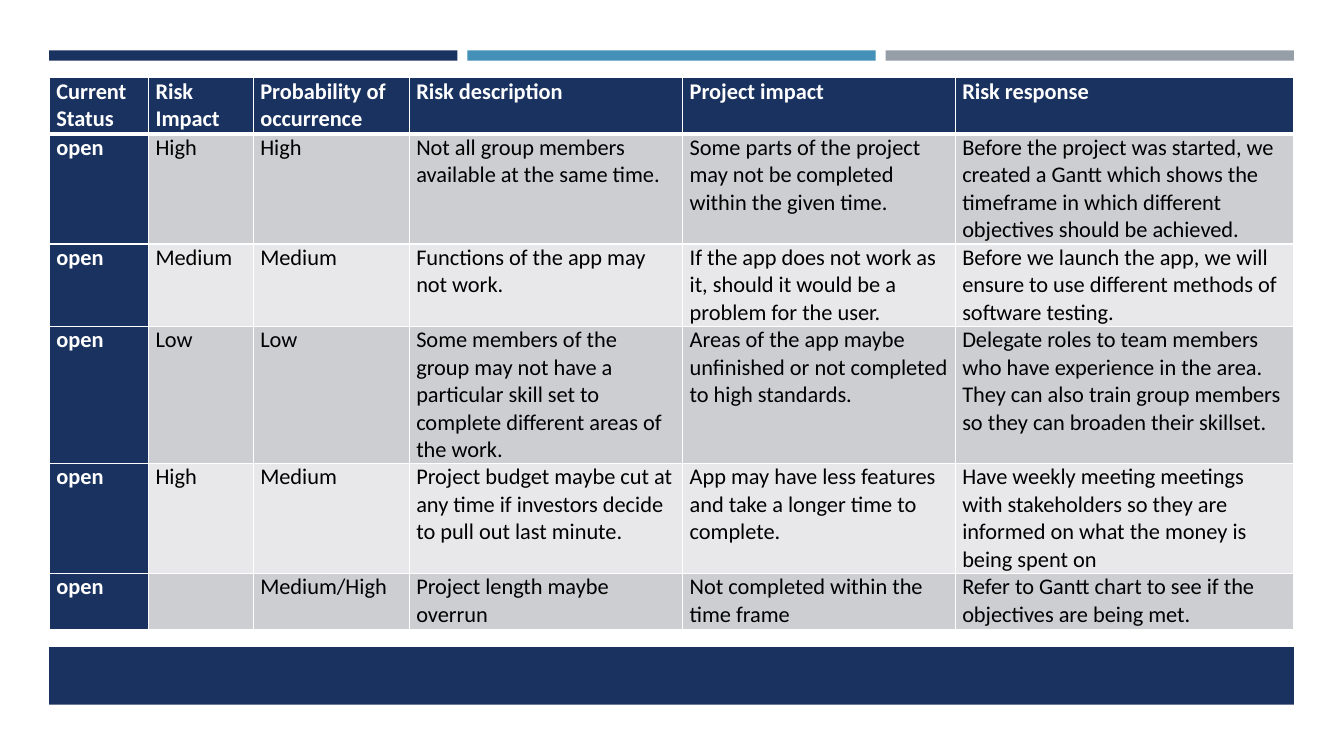
from lxml.etree import SubElement
from pptx import Presentation
from pptx.dml.color import RGBColor
from pptx.enum.shapes import MSO_SHAPE as Preset
from pptx.oxml.ns import qn
from pptx.util import Cm, Pt

NAVY, BLUE, GREY = "1A3260", "4590B8", "969FA7"
WHITE, BLACK = "FFFFFF", "000000"
BANDS = ["CDCED2", "E8E8EA"]

LEFT, WIDTH = 1.24, 31.37
COLUMN_WIDTHS = [2.5, 2.64, 3.93, 6.89, 6.87, 8.54]
ROW_HEIGHTS = [1.42, 2.77, 2.08, 3.43, 2.77, 1.42]

RISKS = [
    ["Current Status", "Risk Impact", "Probability of occurrence",
     "Risk description", "Project impact", "Risk response"],
    ["open", "High", "High",
     "Not all group members available at the same time.",
     "Some parts of the project may not be completed within the given time.",
     "Before the project was started, we created a Gantt which shows the "
     "timeframe in which different objectives should be achieved."],
    ["open", "Medium", "Medium",
     "Functions of the app may not work.",
     "If the app does not work as it, should it would be a problem for the user.",
     "Before we launch the app, we will ensure to use different methods of "
     "software testing."],
    ["open", "Low", "Low",
     "Some members of the group may not have a particular skill set to complete "
     "different areas of the work.",
     "Areas of the app maybe unfinished or not completed to high standards.",
     "Delegate roles to team members who have experience in the area. They can "
     "also train group members so they can broaden their skillset."],
    ["open", "High", "Medium",
     "Project budget maybe cut at any time if investors decide to pull out "
     "last minute.",
     "App may have less features and take a longer time to complete.",
     "Have weekly meeting meetings with stakeholders so they are informed on "
     "what the money is being spent on"],
    ["open", "", "Medium/High",
     "Project length maybe overrun",
     "Not completed within the time frame",
     "Refer to Gantt chart to see if the objectives are being met."],
]


def color(value):
    return RGBColor.from_string(value)


def paint(target, value):
    target.fill.solid()
    target.fill.fore_color.rgb = color(value)


def add_bar(page, left, top, width, height, fill):
    bar = page.shapes.add_shape(
        Preset.RECTANGLE, Cm(left), Cm(top), Cm(width), Cm(height))
    bar.shadow.inherit = False
    bar.line.fill.background()
    paint(bar, fill)


def add_top_bars(page, left, top, width, height, gap=0.25):
    fills = [NAVY, BLUE, GREY]
    bar_width = (width - gap * (len(fills) - 1)) / len(fills)
    for index, fill in enumerate(fills):
        add_bar(page, left + index * (bar_width + gap), top,
                bar_width, height, fill)


def add_borders(cell, top, bottom):
    properties = cell._tc.get_or_add_tcPr()
    for side, points in (("L", 1), ("R", 1), ("T", top), ("B", bottom)):
        line = SubElement(properties, qn(f"a:ln{side}"), w=str(Pt(points)))
        fill = SubElement(line, qn("a:solidFill"))
        SubElement(fill, qn("a:srgbClr"), val=WHITE)


def fill_cell(cell, text, row, column):
    heading = row == 0 or column == 0
    add_borders(cell, 3 if row == 1 else 1, 3 if row == 0 else 1)
    paint(cell, NAVY if heading else BANDS[(row - 1) % 2])
    cell.margin_left = cell.margin_right = Cm(0.18)
    cell.margin_top = cell.margin_bottom = 0
    cell.text = text
    font = cell.text_frame.paragraphs[0].font
    font.name = "Calibri"
    font.size = Pt(16)
    font.bold = heading
    font.color.rgb = color(WHITE if heading else BLACK)


def add_risk_table(page, left, top, width, height):
    table = page.shapes.add_table(
        len(RISKS), len(COLUMN_WIDTHS),
        Cm(left), Cm(top), Cm(width), Cm(height)).table
    for column, column_width in zip(table.columns, COLUMN_WIDTHS):
        column.width = Cm(column_width)
    for row, row_height in zip(table.rows, ROW_HEIGHTS):
        row.height = Cm(row_height)
    for row, texts in enumerate(RISKS):
        for column, text in enumerate(texts):
            fill_cell(table.cell(row, column), text, row, column)


def add_risk_page(deck):
    page = deck.slides.add_slide(deck.slide_layouts[6])
    paint(page.background, WHITE)
    add_top_bars(page, LEFT, 1.27, WIDTH, 0.26)
    add_bar(page, LEFT, 16.31, WIDTH, 1.45, NAVY)
    add_risk_table(page, LEFT, 1.96, WIDTH, sum(ROW_HEIGHTS))


def main():
    deck = Presentation()
    deck.slide_width = Cm(33.87)
    deck.slide_height = Cm(19.05)
    add_risk_page(deck)
    deck.save("out.pptx")


if __name__ == "__main__":
    main()
